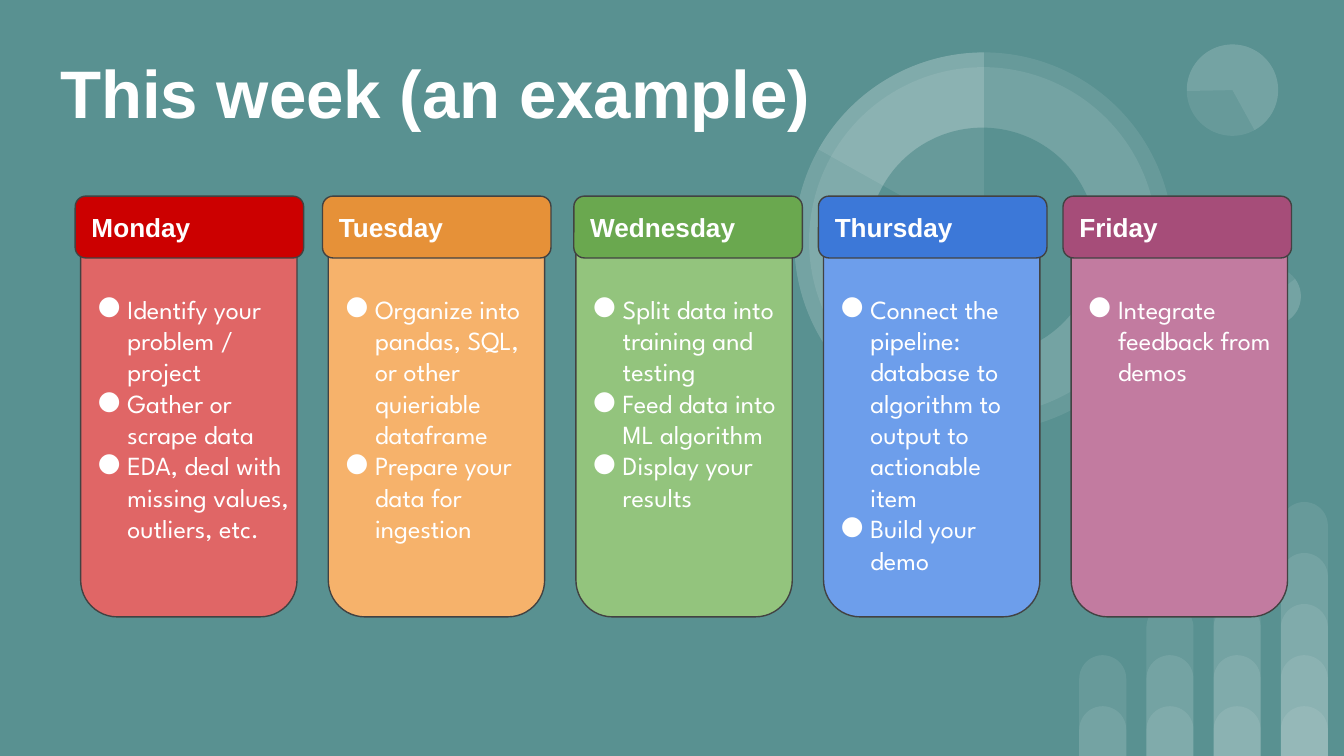
"""Builds a weekly plan slide with five day cards over faint chart shapes."""
from lxml import etree
from pptx import Presentation
from pptx import util as u
from pptx.dml.color import RGBColor
from pptx.enum import shapes, text
from pptx.oxml import ns

PX = 9144
WIDE, HIGH = 1000, 562.5
HEAD, BODY = "Arial", "League Spartan"
WHITE = RGBColor(0xFF, 0xFF, 0xFF)
TEAL = RGBColor(0x59, 0x91, 0x91)
GREY = RGBColor(0x42, 0x42, 0x42)
KIND = shapes.MSO_SHAPE

TITLE = "This week (an example)"
DAYS = [
    ("Monday", 56, RGBColor(0xCC, 0x00, 0x00), RGBColor(0xE0, 0x66, 0x66), 170, 147,
     ["Identify your problem / project", "Gather or scrape data",
      "EDA, deal with missing values, outliers, etc."]),
    ("Tuesday", 240, RGBColor(0xE6, 0x91, 0x38), RGBColor(0xF6, 0xB2, 0x6B), 161, 223,
     ["Organize into pandas, SQL, or other quieriable dataframe",
      "Prepare your data for ingestion"]),
    ("Wednesday", 427, RGBColor(0x6A, 0xA8, 0x4F), RGBColor(0x93, 0xC4, 0x7D), 161, 223,
     ["Split data into training and testing", "Feed data into ML algorithm",
      "Display your results"]),
    ("Thursday", 609, RGBColor(0x3C, 0x78, 0xD8), RGBColor(0x6D, 0x9E, 0xEB), 161, 223,
     ["Connect the pipeline: database to algorithm to output to actionable item",
      "Build your demo"]),
    ("Friday", 791, RGBColor(0xA6, 0x4D, 0x79), RGBColor(0xC2, 0x7B, 0xA0), 161, 223,
     ["Integrate feedback from demos"]),
]
DISCS = [
    (KIND.OVAL, 925, 199, 43, 0, [], WHITE, 9),
    (KIND.PIE, 925, 199, 43, 0, [193.77, 162], WHITE, 9),
    (KIND.OVAL, 883, 33, 68, 215.9, [], WHITE, 9),
    (KIND.PIE, 883, 33, 68, 215.9, [193.77, 123.14], WHITE, 9),
    (KIND.OVAL, 591, 39, 282, 0, [], WHITE, 9),
    (KIND.OVAL, 602, 50, 259, 34.1, [], WHITE, 9),
    (KIND.PIE, 591, 39, 282, 0, [88.01, 162], WHITE, 9),
    (KIND.OVAL, 646, 95, 170, 34.1, [], TEAL, 100),
    (KIND.PIE, 591, 39, 282, 0, [125.54, 162], WHITE, 9),
]


def scale(*box):
    return [round(n * PX) for n in box]


def draw(slide, kind, box, fill, adj=(), alpha=100, line=None):
    shape = slide.shapes.add_shape(kind, *scale(*box))
    shape.shadow.inherit = False
    for i, value in enumerate(adj):
        shape.adjustments[i] = value
    shape.fill.solid()
    shape.fill.fore_color.rgb = fill
    if alpha < 100:
        tint = shape.fill._xPr.find(".//" + ns.qn("a:srgbClr"))
        etree.SubElement(tint, ns.qn("a:alpha"), val=str(alpha * 1000))
    if line is None:
        shape.line.fill.background()
    else:
        shape.line.color.rgb = line
        shape.line.width = u.Pt(0.75)
    return shape


def dot(para):
    props = para._p.get_or_add_pPr()
    left, dent = scale(25, -22)
    props.set("marL", str(left))
    props.set("indent", str(dent))
    tint = etree.SubElement(props, ns.qn("a:buClr"))
    etree.SubElement(tint, ns.qn("a:srgbClr"), val=str(WHITE))
    etree.SubElement(props, ns.qn("a:buFont"), typeface=BODY)
    etree.SubElement(props, ns.qn("a:buChar"), char="●")


def write(shape, lines, size, font, bold=False, list_on=False):
    frame = shape.text_frame
    frame.word_wrap = True
    pad, = scale(10)
    frame.margin_left = frame.margin_right = pad
    frame.margin_top = frame.margin_bottom = pad
    anchor = text.MSO_ANCHOR
    frame.vertical_anchor = anchor.TOP if list_on else anchor.MIDDLE
    for i, line in enumerate(lines):
        para = frame.add_paragraph() if i else frame.paragraphs[0]
        para.alignment = text.PP_ALIGN.LEFT
        if list_on:
            dot(para)
        run = para.add_run()
        run.text = line
        run.font.size = u.Pt(size)
        run.font.name = font
        run.font.bold = bold
        run.font.color.rgb = WHITE


def main():
    deck = Presentation()
    deck.slide_width, deck.slide_height = scale(WIDE, HIGH)
    slide = deck.slides.add_slide(deck.slide_layouts[6])
    back = slide.background.fill
    back.solid()
    back.fore_color.rgb = TEAL

    for col in range(4):
        for step in range(1, col + 3):
            tall = 38 * step - 1
            draw(slide, KIND.ROUND_2_SAME_RECTANGLE,
                 (803 + 50 * col, HIGH - tall, 35, tall), WHITE, (0.5, 0), 9)
    for kind, left, top, size, turn, adj, fill, alpha in DISCS:
        disc = draw(slide, kind, (left, top, size, size), fill, adj, alpha)
        disc.rotation = turn

    box = slide.shapes.add_textbox(*scale(35, 30, 642, 76))
    write(box, [TITLE], 36, HEAD, bold=True)

    lefts = [60 + 184.25 * i for i in range(len(DAYS))]
    for left, day in zip(lefts, DAYS):
        draw(slide, KIND.ROUNDED_RECTANGLE, (left, 154, 161, 305), day[3],
             (0.17,), line=GREY)
    for name, tab, dark, *_ in DAYS:
        head = draw(slide, KIND.ROUNDED_RECTANGLE, (tab, 146, 170, 46), dark,
                    (0.17,), line=GREY)
        write(head, [name], 14, HEAD, bold=True)
    for left, (*_, width, tall, tasks) in zip(lefts, DAYS):
        box = slide.shapes.add_textbox(*scale(left, 208, width, tall))
        write(box, tasks, 14, BODY, list_on=True)

    deck.save("out.pptx")


if __name__ == "__main__":
    main()
